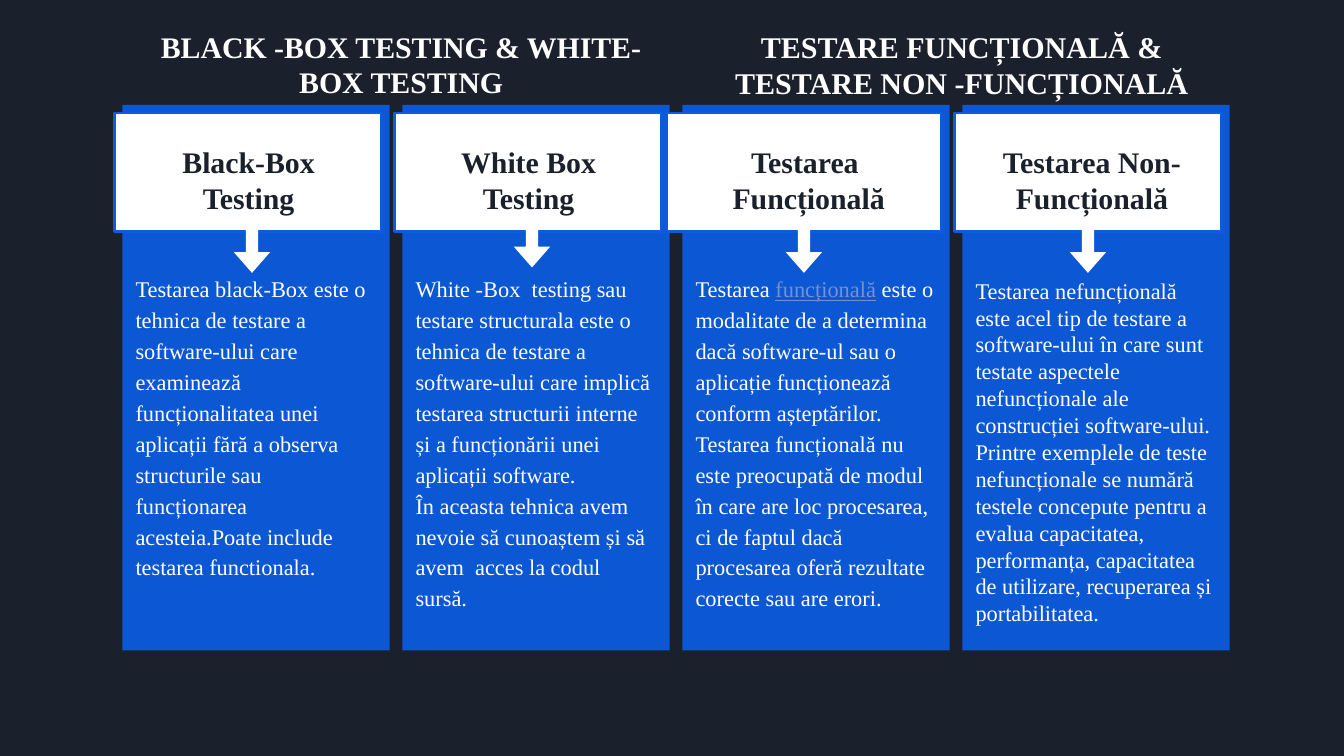
from pptx import Presentation
from pptx.dml.color import RGBColor
from pptx.enum.shapes import MSO_SHAPE as Shape
from pptx.enum.text import MSO_ANCHOR as Anchor, MSO_AUTO_SIZE as AutoSize, PP_ALIGN as Align
from pptx.util import Inches, Pt

NAVY = RGBColor(0x1B, 0x21, 0x2C)
BLUE = RGBColor(0x0C, 0x57, 0xD3)
BORDER = RGBColor(0x0D, 0x5C, 0xDF)
LINK = RGBColor(0x78, 0x90, 0xCD)
WHITE = RGBColor(0xFF, 0xFF, 0xFF)

HEADINGS = [("BLACK -BOX TESTING & WHITE-BOX TESTING", 16),
            ("TESTARE FUNCȚIONALĂ & TESTARE NON -FUNCȚIONALĂ", 16.1)]

COLUMNS = [
    dict(label=["Black-Box Testing"],
         body=[["Testarea black-Box este o tehnica de testare a software-ului care "
                "examinează funcționalitatea unei aplicații fără a observa structurile "
                "sau funcționarea acesteia.Poate include testarea functionala."]]),
    dict(label=["White Box Testing"], arrow_top=1.66, right_inset=0.14,
         body=[["White -Box  testing sau testare structurala este o tehnica de testare "
                "a software-ului care implică testarea structurii interne și a "
                "funcționării unei aplicații software."],
               ["În aceasta tehnica avem nevoie să cunoaștem și să avem  acces la "
                "codul sursă."]]),
    dict(label=["Testarea ", "Funcțională"], card_shift=-0.12, card_width=2.05,
         arrow_shift=0.71, linked="funcțională",
         body=[["Testarea ", "funcțională",
                " este o modalitate de a determina dacă software-ul sau o aplicație "
                "funcționează conform așteptărilor. Testarea funcțională nu este "
                "preocupată de modul în care are loc procesarea, ci de faptul dacă "
                "procesarea oferă rezultate corecte sau are erori."]]),
    dict(label=["Testarea Non-Funcțională"], label_shift=0, label_width=1.93,
         label_height=0.71, arrow_shift=0.74, body_top=1.76, spacing=1.0,
         body=[["Testarea nefuncțională este acel tip de testare a software-ului în "
                "care sunt testate aspectele nefuncționale ale construcției "
                "software-ului. Printre exemplele de teste nefuncționale se numără "
                "testele concepute pentru a evalua capacitatea, performanța, "
                "capacitatea de utilizare, recuperarea și portabilitatea."]]),
]
DEFAULTS = dict(card_shift=-0.06, card_width=1.99, label_shift=0.05, label_width=1.78,
                label_height=0.67, arrow_shift=0.77, arrow_top=1.7, body_top=1.72,
                top_inset=0.3, right_inset=0.1, spacing=1.15, linked=None)

LEFT, LAST_LEFT, WIDTH = 0.91, 7.16, 1.99
PITCH = (LAST_LEFT - LEFT) / (len(COLUMNS) - 1)
TOP, BOTTOM = 0.78, 4.84
HEADING_LEFT, HEADING_PITCH = 0.99, 4.17

BODY_FONT = dict(name="Times New Roman", size=Pt(12), bold=False)
HEAD_FONT = dict(name="Times New Roman", size=Pt(16), bold=True)


def place(*lengths):
    return [Inches(length) for length in lengths]


def add_block(parent, kind, frame, fill, border=None):
    block = parent.shapes.add_shape(kind, *place(*frame))
    block.shadow.inherit = False
    block.fill.solid()
    block.fill.fore_color.rgb = fill
    if border:
        block.line.color.rgb = border
        block.line.width = Pt(1.5)
    else:
        block.line.fill.background()
    return block


def write(box, paragraphs, font, color, align=Align.LEFT, spacing=1.0,
          top_inset=0.1, right_inset=0.1, linked=None):
    frame = box.text_frame
    settings = dict(word_wrap=True, auto_size=AutoSize.NONE, vertical_anchor=Anchor.TOP,
                    margin_left=Inches(0.1), margin_right=Inches(right_inset),
                    margin_top=Inches(top_inset), margin_bottom=Inches(0.1))
    for key, value in settings.items():
        setattr(frame, key, value)
    for index, pieces in enumerate(paragraphs):
        paragraph = frame.add_paragraph() if index else frame.paragraphs[0]
        paragraph.alignment = align
        paragraph.line_spacing = spacing
        for piece in pieces:
            run = paragraph.add_run()
            run.text = piece
            for key, value in font.items():
                setattr(run.font, key, value)
            run.font.underline = piece == linked
            run.font.color.rgb = LINK if piece == linked else color


def add_column(slide, index, column):
    part = {**DEFAULTS, **column}
    left = LEFT + index * PITCH
    group = slide.shapes.add_group_shape()
    add_block(group, Shape.RECTANGLE, (left, TOP, WIDTH, BOTTOM - TOP), BLUE)
    add_block(group, Shape.RECTANGLE,
              (left + part["card_shift"], 0.84, part["card_width"], 0.88), WHITE, BORDER)

    body = group.shapes.add_textbox(
        *place(left, part["body_top"], WIDTH, BOTTOM - part["body_top"]))
    write(body, part["body"], BODY_FONT, WHITE, spacing=part["spacing"],
          top_inset=part["top_inset"], right_inset=part["right_inset"],
          linked=part["linked"])

    label = group.shapes.add_textbox(
        *place(left + part["label_shift"], 0.97, part["label_width"], part["label_height"]))
    write(label, [[line] for line in part["label"]], HEAD_FONT, NAVY, Align.CENTER)

    arrow = add_block(group, Shape.RIGHT_ARROW,
                      (left + part["arrow_shift"], part["arrow_top"], 0.39, 0.27), WHITE)
    arrow.rotation = 90
    arrow.adjustments[0] = 0.34
    arrow.adjustments[1] = 0.57


def main():
    deck = Presentation()
    deck.slide_width = Inches(10)
    deck.slide_height = deck.slide_width * 9 // 16
    slide = deck.slides.add_slide(deck.slide_layouts[5])
    slide.background.fill.solid()
    slide.background.fill.fore_color.rgb = NAVY

    for index, column in enumerate(COLUMNS):
        add_column(slide, index, column)

    for index, (heading, size) in enumerate(HEADINGS):
        frame = place(HEADING_LEFT + index * HEADING_PITCH, 0.11, 3.99, 0.6)
        if index:
            box = slide.shapes.add_textbox(*frame)
        else:
            box = slide.shapes.title
            box.left, box.top, box.width, box.height = frame
        write(box, [[heading]], {**HEAD_FONT, "size": Pt(size)}, WHITE, Align.CENTER)

    deck.save("out.pptx")


if __name__ == "__main__":
    main()
